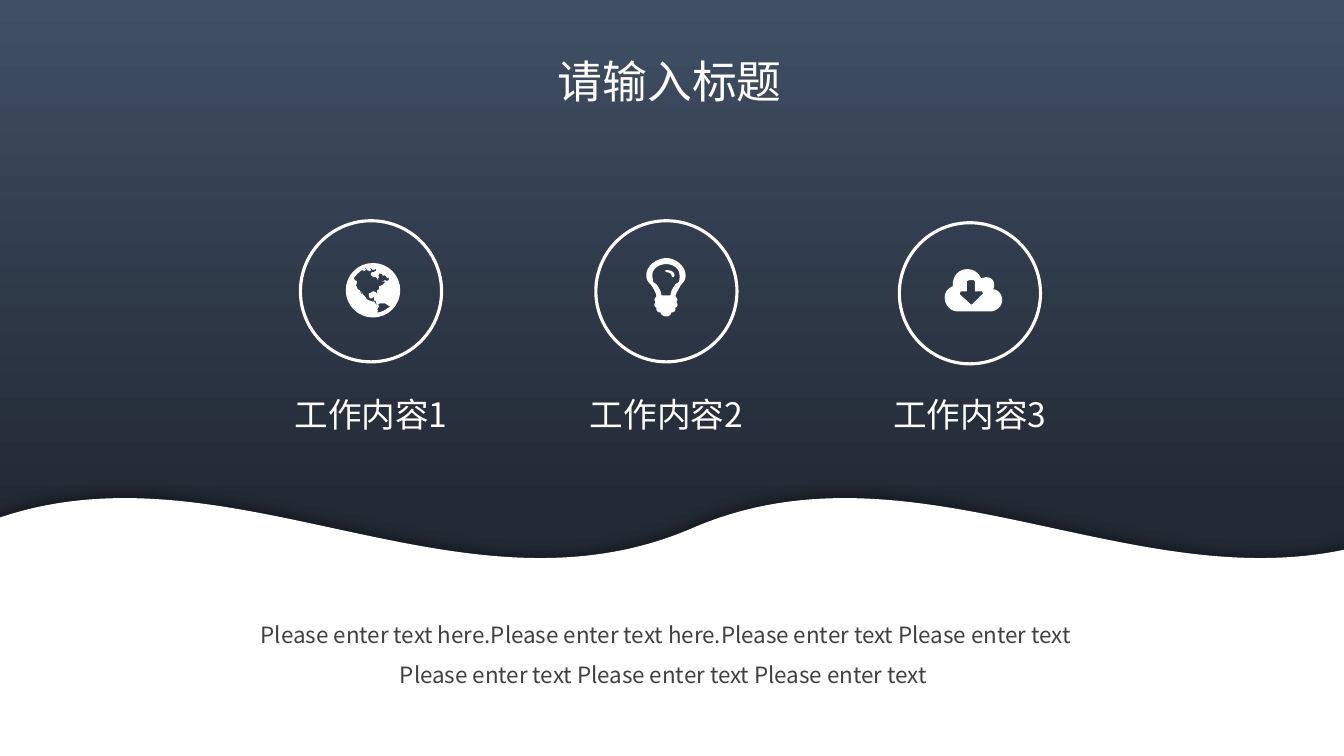
from dataclasses import dataclass

import lxml.etree
import pptx
import pptx.dml.color
import pptx.enum.shapes
import pptx.enum.text
import pptx.oxml.ns
import pptx.presentation
import pptx.shapes.autoshape
import pptx.shapes.base
import pptx.slide
import pptx.util

Inches = pptx.util.Inches
Pt = pptx.util.Pt
SHAPE = pptx.enum.shapes.MSO_SHAPE
ALIGN = pptx.enum.text.PP_ALIGN
FONT = "Noto Sans CJK SC"
WHITE = "FFFFFF"
CURVE_STEPS = 8

Contour = list[tuple[float, ...]]


@dataclass(frozen=True)
class Topic:
    label: str
    left: float
    top: float
    icon: list[Contour]


# A contour step of two numbers is a point; one of six is a cubic curve.
GLOBE: list[Contour] = [
    [(3.97, 2.88), (3.97, 3.03, 3.85, 3.15, 3.7, 3.15), (3.55, 3.15, 3.43, 3.03, 3.43, 2.88),
     (3.43, 2.73, 3.55, 2.61, 3.7, 2.61), (3.85, 2.61, 3.97, 2.73, 3.97, 2.88)],
    [(3.79, 2.8), (3.8, 2.79), (3.82, 2.78), (3.84, 2.79), (3.86, 2.77), (3.85, 2.75),
     (3.84, 2.76), (3.83, 2.74), (3.81, 2.73), (3.8, 2.74), (3.79, 2.72), (3.76, 2.71),
     (3.76, 2.73), (3.75, 2.73), (3.76, 2.75), (3.75, 2.76), (3.75, 2.78), (3.74, 2.76),
     (3.73, 2.75), (3.71, 2.75), (3.69, 2.74), (3.68, 2.73), (3.68, 2.71), (3.69, 2.7),
     (3.71, 2.7), (3.72, 2.69), (3.73, 2.69), (3.73, 2.67), (3.72, 2.67), (3.71, 2.68),
     (3.7, 2.67), (3.7, 2.68), (3.68, 2.66), (3.67, 2.66), (3.68, 2.68), (3.67, 2.69),
     (3.64, 2.68), (3.63, 2.66), (3.6, 2.68), (3.63, 2.67), (3.62, 2.69), (3.59, 2.68),
     (3.56, 2.7, 3.53, 2.73, 3.51, 2.76), (3.52, 2.78), (3.54, 2.79), (3.54, 2.8),
     (3.53, 2.79), (3.54, 2.81), (3.53, 2.83), (3.54, 2.85), (3.55, 2.87), (3.57, 2.88),
     (3.58, 2.91), (3.6, 2.93), (3.58, 2.89), (3.6, 2.92), (3.62, 2.94), (3.64, 2.97),
     (3.66, 2.98), (3.69, 2.99), (3.71, 2.99), (3.73, 3.02), (3.75, 3.02), (3.73, 3.01),
     (3.73, 2.99), (3.71, 2.98), (3.71, 2.95), (3.7, 2.95), (3.69, 2.96), (3.67, 2.96),
     (3.66, 2.94), (3.66, 2.91), (3.69, 2.9), (3.7, 2.89), (3.73, 2.9), (3.74, 2.92),
     (3.74, 2.88), (3.76, 2.87), (3.76, 2.84), (3.79, 2.83), (3.8, 2.82), (3.82, 2.8),
     (3.81, 2.79)],
    [(3.87, 3.04), (3.85, 3.03), (3.82, 3.01), (3.79, 3.01), (3.77, 3.01), (3.75, 3.02),
     (3.76, 3.04), (3.74, 3.07), (3.75, 3.08), (3.74, 3.1), (3.79, 3.1, 3.83, 3.07, 3.87, 3.04)],
]
BULB: list[Contour] = [
    [(6.75, 2.83), (6.74, 2.86, 6.7, 2.91, 6.7, 2.94), (6.72, 2.97), (6.71, 3), (6.72, 3.02),
     (6.72, 3.04, 6.71, 3.05, 6.7, 3.05), (6.7, 3.06), (6.7, 3.09, 6.68, 3.1, 6.66, 3.1),
     (6.65, 3.13, 6.63, 3.14, 6.61, 3.14), (6.59, 3.14, 6.56, 3.13, 6.55, 3.1),
     (6.53, 3.1, 6.51, 3.09, 6.51, 3.06), (6.51, 3.05), (6.5, 3.05, 6.49, 3.04, 6.49, 3.02),
     (6.5, 3), (6.49, 2.97), (6.51, 2.94), (6.51, 2.91, 6.48, 2.86, 6.46, 2.83),
     (6.43, 2.8, 6.41, 2.78, 6.41, 2.73), (6.41, 2.64, 6.51, 2.56, 6.61, 2.56),
     (6.7, 2.56, 6.8, 2.64, 6.8, 2.73), (6.8, 2.78, 6.78, 2.8, 6.75, 2.83)],
    [(6.61, 2.62), (6.54, 2.62, 6.47, 2.66, 6.47, 2.73), (6.47, 2.76, 6.48, 2.79, 6.48, 2.8),
     (6.51, 2.82), (6.54, 2.86, 6.56, 2.9, 6.56, 2.93), (6.65, 2.93),
     (6.65, 2.9, 6.67, 2.86, 6.7, 2.82), (6.73, 2.8), (6.74, 2.79, 6.74, 2.76, 6.74, 2.73),
     (6.74, 2.66, 6.67, 2.62, 6.61, 2.62)],
    [(6.68, 2.75), (6.67, 2.75, 6.66, 2.74, 6.66, 2.73), (6.66, 2.71, 6.62, 2.7, 6.61, 2.7),
     (6.6, 2.7, 6.6, 2.69, 6.6, 2.68), (6.61, 2.68), (6.64, 2.68, 6.69, 2.69, 6.69, 2.73),
     (6.69, 2.74, 6.68, 2.75, 6.68, 2.75)],
]
CLOUD: list[Contour] = [
    [(9.82, 3.09), (9.5, 3.09), (9.43, 3.09, 9.37, 3.03, 9.37, 2.95),
     (9.37, 2.9, 9.4, 2.86, 9.45, 2.84), (9.45, 2.82), (9.45, 2.74, 9.51, 2.67, 9.59, 2.67),
     (9.66, 2.67, 9.71, 2.71, 9.73, 2.76), (9.75, 2.76, 9.77, 2.75, 9.78, 2.75),
     (9.83, 2.75, 9.86, 2.78, 9.86, 2.82), (9.86, 2.84, 9.86, 2.85, 9.85, 2.87),
     (9.9, 2.87, 9.94, 2.92, 9.94, 2.98), (9.94, 3.03, 9.89, 3.09, 9.82, 3.09)],
    [(9.74, 2.89), (9.67, 2.89), (9.67, 2.79), (9.66, 2.78), (9.61, 2.78), (9.59, 2.79),
     (9.59, 2.89), (9.53, 2.89), (9.52, 2.91), (9.52, 2.92), (9.63, 3.02), (9.64, 3.02),
     (9.74, 2.92), (9.75, 2.91)],
]
TOPICS = [
    Topic("工作内容1", 2.98, 2.19, GLOBE),
    Topic("工作内容2", 5.91, 2.19, BULB),
    Topic("工作内容3", 8.92, 2.21, CLOUD),
]


def color(value: str) -> pptx.dml.color.RGBColor:
    return pptx.dml.color.RGBColor.from_string(value)


def place(shape: pptx.shapes.base.BaseShape, *bounds: float) -> None:
    shape.left, shape.top, shape.width, shape.height = map(Inches, bounds)


def write(box: pptx.shapes.autoshape.Shape, text: str, size: float, ink: str,
          align: ALIGN = ALIGN.CENTER, wrap: bool = True) -> None:
    frame = box.text_frame
    frame.text = text
    frame.word_wrap = wrap
    frame.auto_size = pptx.enum.text.MSO_AUTO_SIZE.SHAPE_TO_FIT_TEXT
    frame.vertical_anchor = pptx.enum.text.MSO_ANCHOR.TOP
    frame.paragraphs[0].alignment = align
    span = frame.paragraphs[0].runs[0]
    span.font.size = Pt(size)
    span.font.name = FONT
    span.font.color.rgb = color(ink)
    east_asian = lxml.etree.SubElement(span.font._element, pptx.oxml.ns.qn("a:ea"))
    east_asian.set("typeface", FONT)


def add_plain_shape(slide: pptx.slide.Slide, kind: SHAPE,
                    *bounds: float) -> pptx.shapes.autoshape.Shape:
    shape = slide.shapes.add_shape(kind, *map(Inches, bounds))
    shape.shadow.inherit = False
    shape.line.fill.background()
    return shape


def flatten(contour: Contour) -> list[tuple[int, int]]:
    """Turn the points and cubic curves of a contour into points in slide units."""
    points = [(contour[0][0], contour[0][1])]
    for step in contour[1:]:
        if len(step) == 2:
            points.append((step[0], step[1]))
            continue
        (x0, y0), (x1, y1, x2, y2, x3, y3) = points[-1], step
        for index in range(1, CURVE_STEPS + 1):
            t = index / CURVE_STEPS
            a, b, c, d = (1 - t) ** 3, 3 * t * (1 - t) ** 2, 3 * t * t * (1 - t), t ** 3
            points.append((a * x0 + b * x1 + c * x2 + d * x3, a * y0 + b * y1 + c * y2 + d * y3))
    return [(Inches(x), Inches(y)) for x, y in points]


def add_icon(slide: pptx.slide.Slide, contours: list[Contour]) -> None:
    first, *others = map(flatten, contours)
    builder = slide.shapes.build_freeform(*first[0])
    builder.add_line_segments(first[1:], close=True)
    for points in others:
        builder.move_to(*points[0])
        builder.add_line_segments(points[1:], close=True)
    icon = builder.convert_to_shape()
    icon.shadow.inherit = False
    icon.fill.solid()
    icon.fill.fore_color.rgb = color(WHITE)
    icon.line.fill.background()


def add_sky(slide: pptx.slide.Slide) -> pptx.shapes.autoshape.Shape:
    sky = add_plain_shape(slide, SHAPE.RECTANGLE, 0, 0, 13.33, 6.38)
    sky.fill.gradient()
    sky.fill.gradient_angle = 270
    for stop, (position, tint) in zip(sky.fill.gradient_stops, [(0, "404F64"), (0.79, "222A35")]):
        stop.position = position
        stop.color.rgb = color(tint)
    return sky


def add_wave(slide: pptx.slide.Slide) -> None:
    wave = add_plain_shape(slide, SHAPE.DOUBLE_WAVE, -0.33, 4.93, 14.34, 4.12)
    wave.adjustments[0], wave.adjustments[1] = 0.075, -0.002
    wave.fill.solid()
    wave.fill.fore_color.rgb = color(WHITE)
    qn = pptx.oxml.ns.qn
    effects = wave.element.spPr.find(qn("a:effectLst"))
    shadow = lxml.etree.SubElement(effects, qn("a:outerShdw"), blurRad=str(Pt(10)),
                                   dist=str(Pt(3)), dir="16200000", rotWithShape="0")
    black = lxml.etree.SubElement(shadow, qn("a:srgbClr"), val="000000")
    lxml.etree.SubElement(black, qn("a:alpha"), val="38000")


def add_topic(slide: pptx.slide.Slide, topic: Topic) -> None:
    ring = add_plain_shape(slide, SHAPE.OVAL, topic.left, topic.top, 1.4, 1.4)
    ring.fill.background()
    ring.line.color.rgb = color(WHITE)
    ring.line.width = Pt(2.25)
    add_icon(slide, topic.icon)
    label = slide.shapes.add_textbox(*map(Inches, (topic.left - 0.42, 3.86, 2.24, 0.5)))
    write(label, topic.label, 24, WHITE)


def main() -> None:
    deck = pptx.Presentation()
    deck.slide_width, deck.slide_height = Inches(13.33), Inches(7.5)
    slide = deck.slides.add_slide(deck.slide_layouts[5])
    title = slide.shapes.title
    place(title, 5.43, 0.48, 2.45, 0.64)
    write(title, "请输入标题", 32, WHITE, ALIGN.LEFT, wrap=False)
    title.element.addprevious(add_sky(slide).element)
    add_wave(slide)
    for topic in TOPICS:
        add_topic(slide, topic)
    summary = slide.shapes.add_textbox(*map(Inches, (2.47, 5.98, 8.27, 0.87)))
    write(summary, "Please enter text here." * 2 + "Please enter text " * 5, 16, "404040")
    summary.text_frame.paragraphs[0].line_spacing = 1.5
    deck.save("out.pptx")


if __name__ == "__main__":
    main()
